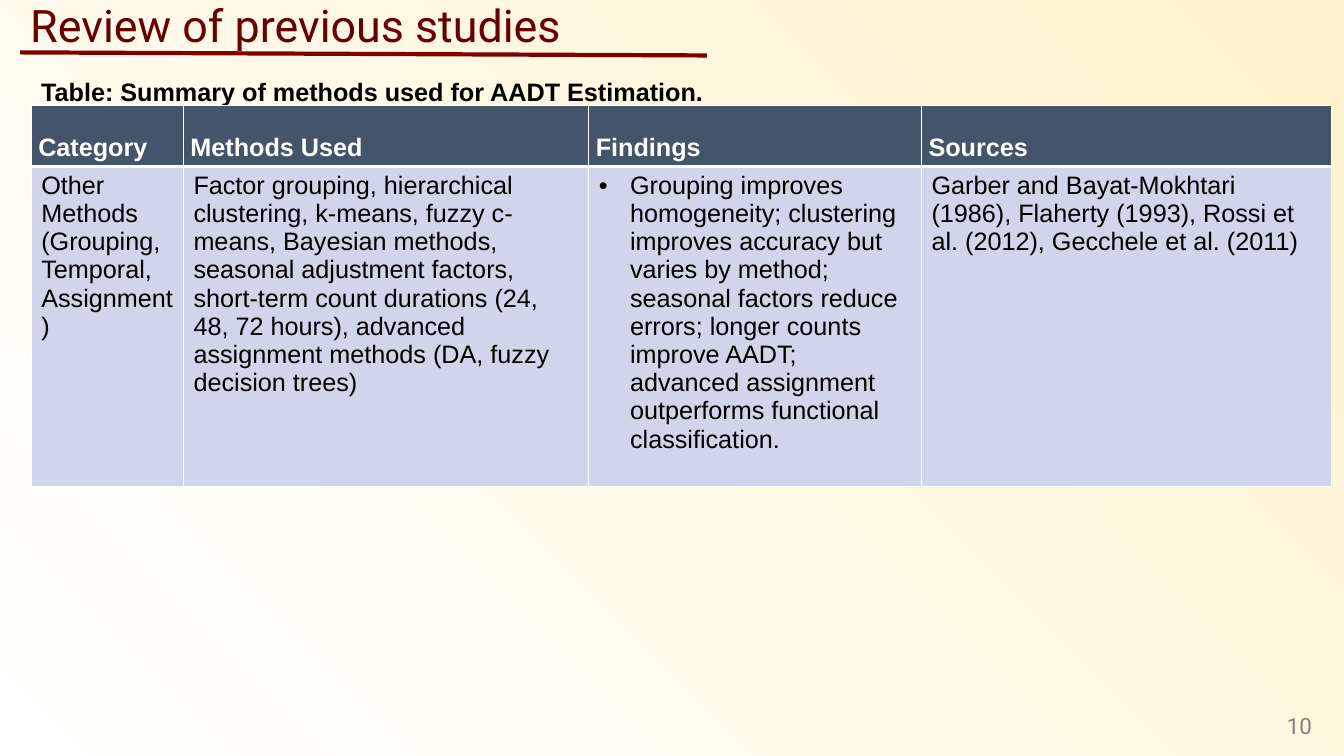
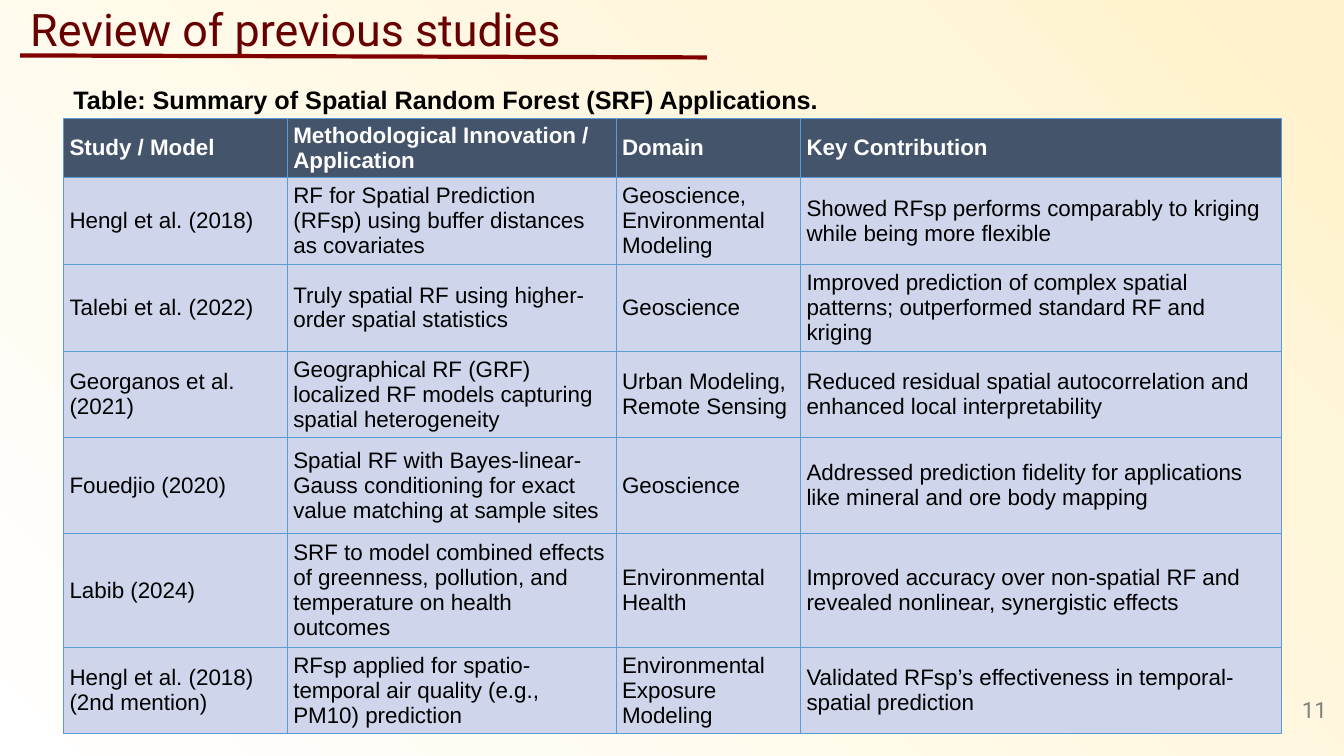
from dataclasses import dataclass

from lxml import etree
from pptx import Presentation
from pptx import util as u
from pptx.dml.color import RGBColor
from pptx.enum import shapes, text
from pptx.oxml.ns import qn


@dataclass(frozen=True)
class Theme:
    cream: str = "FFF2CC"
    white: str = "FFFFFF"
    black: str = "000000"
    title: str = "680000"
    rule: str = "800000"
    page: str = "808080"
    head: str = "44546A"
    body: str = "CFD5EA"
    grid: str = "5B9BD5"
    display: str = "Roboto"
    sans: str = "Arial"
    title_size: int = 32
    caption_size: int = 18
    page_size: int = 16


T = Theme()
TITLE = "Review of previous studies"
DEFAULT_INSETS = (0.1, 0.05)

SLIDES = [
    dict(
        page="10", page_at=(12.54, 7), title_top=-0.07, rule=(0.52, 0.55),
        caption="Table: Summary of methods used for AADT Estimation.",
        caption_at=(0.31, 0.41), table_at=(0.31, 1.05),
        cols=[1.51, 4.02, 3.3, 4.07], heights=[0.6, 3.18],
        size=18, border=T.white, width=1, head_rule=3,
        head_insets=(0.07, 0), body_insets=DEFAULT_INSETS,
        head_spacing=2, anchor=text.MSO_ANCHOR.TOP, bullets={(1, 2)},
        rows=[
            ("Category", "Methods Used", "Findings", "Sources"),
            ("Other Methods (Grouping, Temporal, Assignment)",
             "Factor grouping, hierarchical clustering, k-means, fuzzy c-means, "
             "Bayesian methods, seasonal adjustment factors, short-term count "
             "durations (24, 48, 72 hours), advanced assignment methods (DA, "
             "fuzzy decision trees)",
             "Grouping improves homogeneity; clustering improves accuracy but "
             "varies by method; seasonal factors reduce errors; longer counts "
             "improve AADT; advanced assignment outperforms functional "
             "classification.",
             "Garber and Bayat-Mokhtari (1986), Flaherty (1993), Rossi et al. "
             "(2012), Gecchele et al. (2011)"),
        ],
    ),
    dict(
        page="11", page_at=(12.69, 6.84), title_top=-0.03, rule=(0.55, 0.57),
        caption="Table: Summary of Spatial Random Forest (SRF) Applications.",
        caption_at=(0.63, 0.49), table_at=(0.63, 1.17),
        cols=[2.22, 3.26, 1.83, 4.77],
        heights=[0.58, 0.86, 0.86, 0.86, 0.95, 1.12, 0.86],
        size=16, border=T.grid, width=0.5, head_rule=0.5,
        head_insets=(0.06, 0.03), body_insets=(0.06, 0.03),
        head_spacing=1, anchor=text.MSO_ANCHOR.MIDDLE, bullets=set(),
        rows=[
            ("Study / Model", "Methodological Innovation / Application",
             "Domain", "Key Contribution"),
            ("Hengl et al. (2018)",
             "RF for Spatial Prediction (RFsp) using buffer distances as covariates",
             "Geoscience, Environmental Modeling",
             "Showed RFsp performs comparably to kriging while being more flexible"),
            ("Talebi et al. (2022)",
             "Truly spatial RF using higher-order spatial statistics",
             "Geoscience",
             "Improved prediction of complex spatial patterns; outperformed "
             "standard RF and kriging"),
            ("Georganos et al. (2021)",
             "Geographical RF (GRF) localized RF models capturing spatial "
             "heterogeneity",
             "Urban Modeling, Remote Sensing",
             "Reduced residual spatial autocorrelation and enhanced local "
             "interpretability"),
            ("Fouedjio (2020)",
             "Spatial RF with Bayes-linear-Gauss conditioning for exact value "
             "matching at sample sites",
             "Geoscience",
             "Addressed prediction fidelity for applications like mineral and "
             "ore body mapping"),
            ("Labib (2024)",
             "SRF to model combined effects of greenness, pollution, and "
             "temperature on health outcomes",
             "Environmental Health",
             "Improved accuracy over non-spatial RF and revealed nonlinear, "
             "synergistic effects"),
            ("Hengl et al. (2018) (2nd mention)",
             "RFsp applied for spatio-temporal air quality (e.g., PM10) prediction",
             "Environmental Exposure Modeling",
             "Validated RFsp’s effectiveness in temporal-spatial prediction"),
        ],
    ),
]


def rgb(value):
    return RGBColor.from_string(value)


def inches(*values):
    return [u.Inches(v) for v in values]


def write(tf, content, size, color, font=T.sans, bold=False, spacing=1,
          align=text.PP_ALIGN.LEFT):
    tf.word_wrap = True
    p = tf.paragraphs[0]
    p.alignment, p.line_spacing = align, spacing
    r = p.add_run()
    r.text = content
    r.font.name, r.font.size, r.font.bold = font, u.Pt(size), bold
    r.font.color.rgb = rgb(color)
    return p


def add_bullet(p):
    pPr = p._p.get_or_add_pPr()
    indent = u.Inches(0.31)
    pPr.set("marL", str(indent))
    pPr.set("indent", str(-indent))
    etree.SubElement(pPr, qn("a:buFont")).set("typeface", T.sans)
    etree.SubElement(pPr, qn("a:buChar")).set("char", "•")


def set_borders(cell, color, widths):
    tcPr = cell._tc.get_or_add_tcPr()
    for i, (side, width) in enumerate(zip("LRTB", widths)):
        ln = etree.Element(qn("a:ln" + side), w=str(u.Pt(width)))
        fill = etree.SubElement(ln, qn("a:solidFill"))
        etree.SubElement(fill, qn("a:srgbClr")).set("val", color)
        tcPr.insert(i, ln)


def set_background(prs):
    fill = prs.slide_master.background.fill
    fill.gradient()
    fill.gradient_angle = 225
    for stop, color, position in zip(fill.gradient_stops, (T.cream, T.white), (0, 1)):
        stop.color.rgb, stop.position = rgb(color), position


def add_frame(s, d):
    sp = s.shapes.title
    sp.left, sp.top, sp.width, sp.height = inches(0.2, d["title_top"], 10.03, 0.64)
    tf = sp.text_frame
    tf.auto_size = text.MSO_AUTO_SIZE.NONE
    tf.vertical_anchor = text.MSO_ANCHOR.TOP
    write(tf, TITLE, T.title_size, T.title, T.display)

    start, end = d["rule"]
    rule = s.shapes.add_connector(shapes.MSO_CONNECTOR.STRAIGHT,
                                  *inches(0.2, start, 7.01, end))
    rule.line.color.rgb, rule.line.width = rgb(T.rule), u.Pt(3)
    etree.SubElement(rule._element.spPr, qn("a:effectLst"))

    tf = s.shapes.add_textbox(*inches(*d["page_at"], 0.57, 0.4)).text_frame
    tf.vertical_anchor = text.MSO_ANCHOR.MIDDLE
    write(tf, d["page"], T.page_size, T.page, T.display,
          align=text.PP_ALIGN.RIGHT)

    tf = s.shapes.add_textbox(*inches(*d["caption_at"], 10.9, 0.61)).text_frame
    write(tf, d["caption"], T.caption_size, T.black, bold=True, spacing=2)


def add_summary(s, d):
    size = sum(d["cols"]), sum(d["heights"])
    table = s.shapes.add_table(len(d["rows"]), len(d["cols"]),
                               *inches(*d["table_at"], *size)).table
    table.horz_banding = False
    for col, width in zip(table.columns, d["cols"]):
        col.width = u.Inches(width)
    for row, height in zip(table.rows, d["heights"]):
        row.height = u.Inches(height)
    thin, thick = d["width"], d["head_rule"]
    for i, row in enumerate(d["rows"]):
        head = i == 0
        dx, dy = inches(*d["head_insets" if head else "body_insets"])
        for j, content in enumerate(row):
            cell = table.cell(i, j)
            cell.fill.solid()
            cell.fill.fore_color.rgb = rgb(T.head if head else T.body)
            cell.margin_left = cell.margin_right = dx
            cell.margin_top = cell.margin_bottom = dy
            cell.vertical_anchor = d["anchor"]
            p = write(cell.text_frame, content, d["size"],
                      T.white if head else T.black, bold=head,
                      spacing=d["head_spacing"] if head else 1)
            if (i, j) in d["bullets"]:
                add_bullet(p)
            set_borders(cell, d["border"], (thin, thin, thick if i == 1 else thin,
                                            thick if head else thin))


def main():
    prs = Presentation()
    prs.slide_width, prs.slide_height = inches(13.33, 7.5)
    set_background(prs)
    for d in SLIDES:
        s = prs.slides.add_slide(prs.slide_layouts[5])
        add_frame(s, d)
        add_summary(s, d)
    prs.save("out.pptx")


if __name__ == "__main__":
    main()
